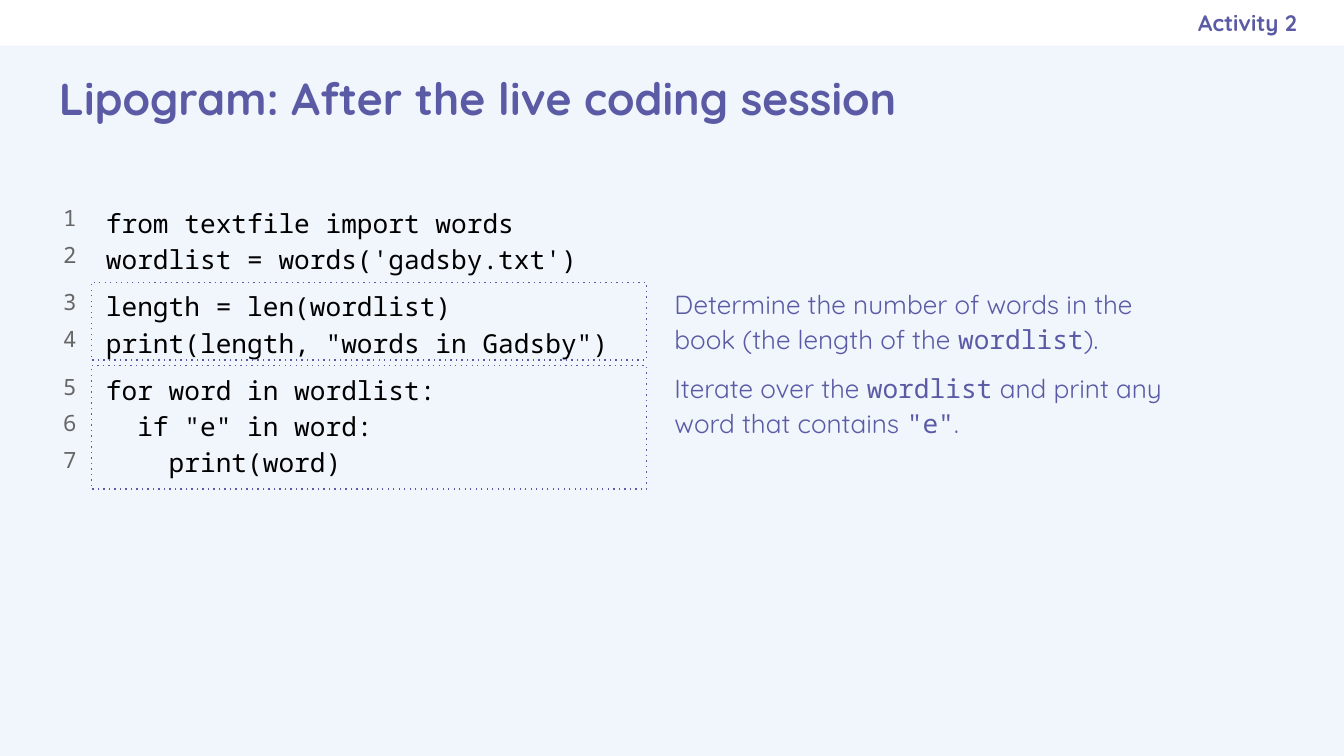
"""Build the slide about the lipogram program after the live coding session."""
from dataclasses import dataclass

import pptx
import pptx.dml.color
import pptx.enum.dml
import pptx.enum.shapes
import pptx.enum.text
import pptx.oxml.ns
import pptx.slide
import pptx.util

Inches = pptx.util.Inches
Pt = pptx.util.Pt
ALIGN = pptx.enum.text.PP_ALIGN
ANCHOR = pptx.enum.text.MSO_ANCHOR
SANS, MONO = "Quicksand", "Noto Sans Mono"
PURPLE, GREY, BLACK, WHITE, PALE = "5B5BA5", "666666", "000000", "FFFFFF", "F1F5FC"


@dataclass
class Line:
    runs: list[tuple[str, str]]
    before: float = 0


@dataclass
class Block:
    box: tuple[float, float, float, float]
    lines: list[Line]
    size: float
    color: str = PURPLE
    bold: bool = False
    align: ALIGN = ALIGN.LEFT
    anchor: ANCHOR = ANCHOR.TOP
    spacing: float = 1.0
    insets: tuple[float, float, float, float] = (0.1, 0.1, 0.1, 0.1)


def rgb(value: str) -> pptx.dml.color.RGBColor:
    return pptx.dml.color.RGBColor.from_string(value)


def apply(target: object, values: dict) -> None:
    for name, value in values.items():
        setattr(target, name, value)


def add_rect(s: pptx.slide.Slide, box: tuple, fill: str | None = None,
             dotted: str | None = None) -> None:
    sp = s.shapes.add_shape(pptx.enum.shapes.MSO_SHAPE.RECTANGLE, *map(Inches, box))
    sp.shadow.inherit = False
    if fill:
        sp.fill.solid()
        sp.fill.fore_color.rgb = rgb(fill)
    else:
        sp.fill.background()
    if dotted:
        sp.line.color.rgb = rgb(dotted)
        apply(sp.line, {"width": Pt(0.75),
                        "dash_style": pptx.enum.dml.MSO_LINE.ROUND_DOT})
        sp.element.find(".//" + pptx.oxml.ns.qn("a:prstDash")).set("val", "dot")
    else:
        sp.line.fill.background()


def add_block(s: pptx.slide.Slide, block: Block) -> None:
    tf = s.shapes.add_textbox(*map(Inches, block.box)).text_frame
    left, top, right, bottom = map(Inches, block.insets)
    apply(tf, {"word_wrap": True, "vertical_anchor": block.anchor,
               "margin_left": left, "margin_top": top,
               "margin_right": right, "margin_bottom": bottom})
    for i, line in enumerate(block.lines):
        p = tf.add_paragraph() if i else tf.paragraphs[0]
        apply(p, {"alignment": block.align, "line_spacing": block.spacing,
                  "space_before": Pt(line.before)})
        for text, font in line.runs:
            r = p.add_run()
            r.text = text
            apply(r.font, {"name": font, "size": Pt(block.size), "bold": block.bold})
            r.font.color.rgb = rgb(block.color)


CODE = [
    ["from textfile import words", "wordlist = words('gadsby.txt')"],
    ["length = len(wordlist)", 'print(length, "words in Gadsby")'],
    ["for word in wordlist:", '  if "e" in word:', "    print(word)"],
]
NOTES = [
    (2.02, [("Determine the number of words in the book (the length of the ", SANS),
            ("wordlist", MONO), (").", SANS)]),
    (2.64, [("Iterate over the ", SANS), ("wordlist", MONO),
            (" and print any word that contains ", SANS), ('"e"', MONO), (".", SANS)]),
]
FRAMES = [(2.1, 0.58), (2.72, 0.92)]


def main() -> None:
    prs = pptx.Presentation()
    width = Inches(10)
    apply(prs, {"slide_width": width, "slide_height": width * 9 // 16})
    s = prs.slides.add_slide(prs.slide_layouts[6])
    s.background.fill.solid()
    s.background.fill.fore_color.rgb = rgb(PALE)

    code, numbers = [], []
    for g, group in enumerate(CODE):
        for i, text in enumerate(group):
            gap = 6 if g and not i else 0
            code.append(Line([(text, MONO)], gap))
            numbers.append(Line([(str(len(code)), MONO)], gap + 3))

    add_rect(s, (0, 0, 10, 0.34), fill=WHITE)
    add_block(s, Block((0.69, 1.41, 4.13, 3.71), code, 14, BLACK, spacing=1.15))
    for top, height in FRAMES:
        add_rect(s, (0.68, top, 4.13, height), dotted=PURPLE)
    add_block(s, Block((0.34, 0.34, 9.32, 0.77),
                       [Line([("Lipogram: After the live coding session", SANS)])],
                       24, bold=True, anchor=ANCHOR.MIDDLE))
    add_block(s, Block((5.75, 0, 3.9, 0.34), [Line([("Activity 2", SANS)])], 12,
                       bold=True, align=ALIGN.RIGHT, anchor=ANCHOR.MIDDLE,
                       insets=(0.1, 0.1, 0, 0.1)))
    add_block(s, Block((0.35, 1.43, 0.22, 3.71), numbers, 12, GREY, align=ALIGN.RIGHT,
                       spacing=1.15, insets=(0, 0.06, 0, 0.1)))
    for top, runs in NOTES:
        add_block(s, Block((4.92, top, 3.82, 0.73), [Line(runs)], 14, spacing=1.12,
                           insets=(0.1, 0.1, 0.06, 0.1)))
    prs.save("out.pptx")


if __name__ == "__main__":
    main()
